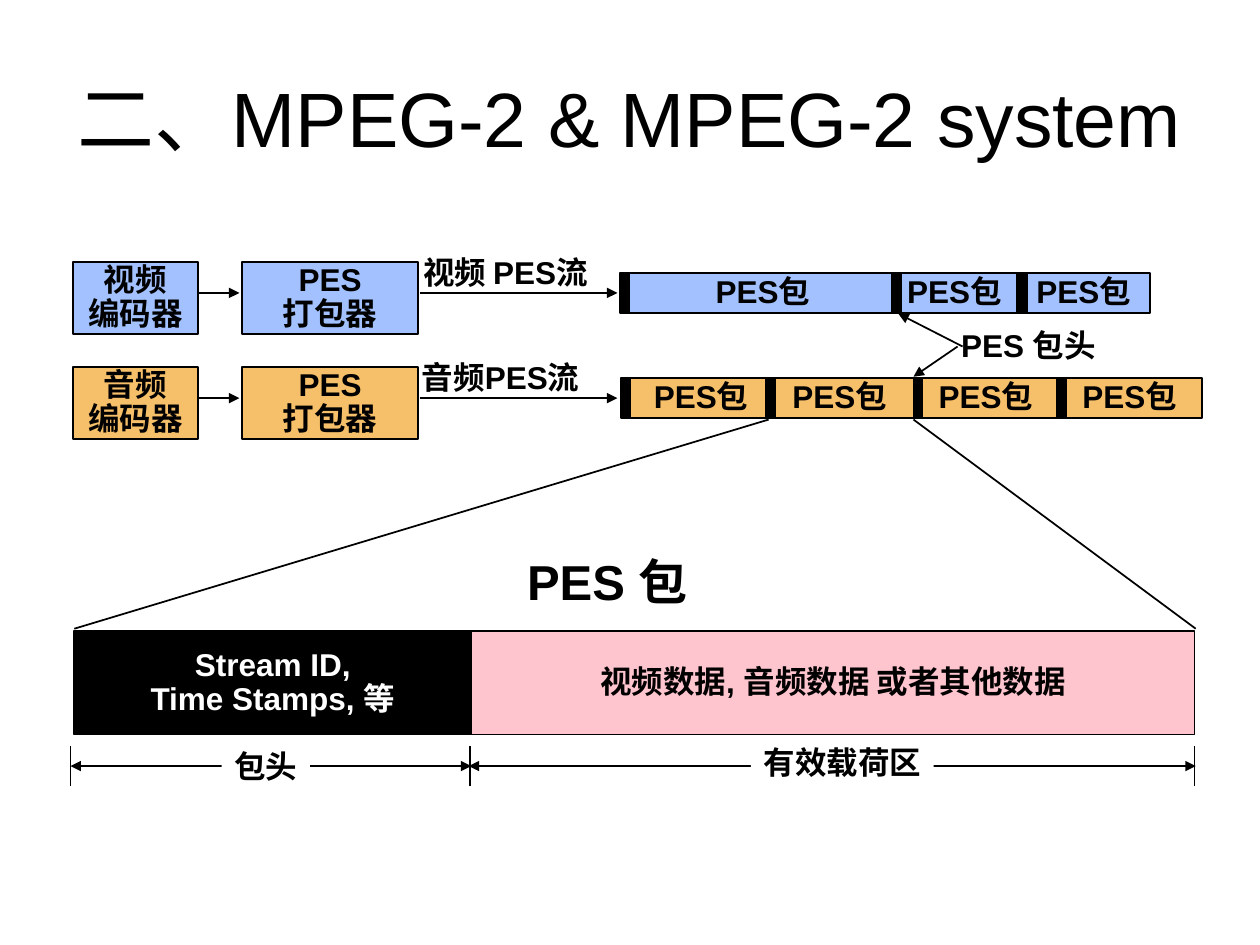
import pptx
import pptx.util
import pptx.dml.color
import pptx.enum.shapes
import pptx.enum.text
import pptx.oxml
import pptx.oxml.ns
import lxml.etree

THEME = {
    "font": "Arial", "title": 44, "packet": 28, "body": 18, "line": 1,
    "ink": "000000", "paper": "FFFFFF",
    "video": "A2C1FE", "audio": "F6BF69", "payload": "FFC5CF",
}
ALIGN = pptx.enum.text.PP_ALIGN
ANCHOR = pptx.enum.text.MSO_ANCHOR

prs = pptx.Presentation()
prs.slide_width = pptx.util.Inches(10)
prs.slide_height = pptx.util.Inches(7.5)
COL = prs.slide_width / 100
ROW = prs.slide_height / 75
s = prs.slides.add_slide(prs.slide_layouts[5])


def box(x, y, w, h, text="", fill=None, label=False, color="ink",
        size="body", align=ALIGN.CENTER):
    at = [int(v) for v in (x * COL, y * ROW, w * COL, h * ROW)]
    if fill:
        sp = s.shapes.add_shape(pptx.enum.shapes.MSO_SHAPE.RECTANGLE, *at)
        sp.shadow.inherit = False
        sp.fill.solid()
        sp.fill.fore_color.rgb = pptx.dml.color.RGBColor.from_string(THEME[fill])
        if label:
            sp.line.fill.background()
        else:
            sp.line.color.rgb = pptx.dml.color.RGBColor.from_string(THEME["ink"])
            sp.line.width = pptx.util.Pt(THEME["line"])
    else:
        sp = s.shapes.add_textbox(*at)
    tf = sp.text_frame
    tf.word_wrap = False
    tf.vertical_anchor = ANCHOR.TOP if label else ANCHOR.MIDDLE
    if label:
        tf.auto_size = pptx.enum.text.MSO_AUTO_SIZE.SHAPE_TO_FIT_TEXT
    if text:
        tf.text = text
        for p in tf.paragraphs:
            p.alignment = align
            p.line_spacing = 0.9
            p.font.name = THEME["font"]
            p.font.size = pptx.util.Pt(THEME[size])
            p.font.bold = True
            p.font.color.rgb = pptx.dml.color.RGBColor.from_string(THEME[color])


def line(x1, y1, x2, y2, *ends):
    c = s.shapes.add_connector(
        pptx.enum.shapes.MSO_CONNECTOR.STRAIGHT,
        int(x1 * COL), int(y1 * ROW), int(x2 * COL), int(y2 * ROW))
    c.line.color.rgb = pptx.dml.color.RGBColor.from_string(THEME["ink"])
    c.line.width = pptx.util.Pt(THEME["line"])
    ln = c.line._get_or_add_ln()
    for end in ends:
        tip = lxml.etree.SubElement(ln, pptx.oxml.ns.qn("a:" + end))
        tip.set("type", "triangle")
    lxml.etree.SubElement(c._element.spPr, pptx.oxml.ns.qn("a:effectLst"))


title = s.shapes.title
title.left, title.top = int(5 * COL), int(3 * ROW)
title.width, title.height = int(90 * COL), int(12.5 * ROW)
tf = title.text_frame
tf.text = "二、MPEG-2 & MPEG-2 system"
tf.word_wrap = True
tf.vertical_anchor = ANCHOR.MIDDLE
p = tf.paragraphs[0]
p.alignment = ALIGN.CENTER
p.font.name = THEME["font"]
p.font.size = pptx.util.Pt(THEME["title"])
p.font.color.rgb = pptx.dml.color.RGBColor.from_string(THEME["ink"])

streams = [
    ("video", 20.8, "视频", "视频 PES流", (32.6, 16.3),
     [(49.8, 21.5), (70.8, 9.9), (80.7, 10.6)], [49.2, 70.8, 80.8]),
    ("audio", 29.15, "音频", "音频PES流", (32.5, 15.7),
     [(49.5, 12.3), (60.8, 11.7), (72.5, 11.5), (83.9, 11.5)],
     [49.3, 60.8, 72.5, 83.9]),
]
for fill, y, medium, label, (label_x, label_w), packets, headers in streams:
    box(5.8, y, 9.9, 5.7, medium + "\n编码器", fill)
    box(19.2, y, 14, 5.7, "PES\n打包器", fill)
    line(15.8, y + 2.45, 19, y + 2.45, "tailEnd")
    line(33.3, y + 2.45, 49, y + 2.45, "tailEnd")
    box(label_x, y - 0.9, label_w, 3.7, label, label=True, align=ALIGN.LEFT)
    for x, w in packets:
        box(x, y + 0.85, w, 3.2, "PES包", fill)
    for x in headers:
        box(x, y + 0.85, 0.7, 3.2, fill="ink")

box(75.3, 25.7, 13.3, 3.7, "PES 包头", label=True, align=ALIGN.LEFT)
line(76.4, 27.5, 71.3, 24.9, "tailEnd")
line(76, 27.5, 72.5, 29.9, "tailEnd")

line(61, 33.3, 5.9, 49.9)
line(72.5, 33.3, 94.9, 49.9)
box(39.9, 43.8, 16.6, 5.2, "PES 包", label=True, size="packet")
box(5.9, 50.1, 31.5, 8.2, "Stream ID,\nTime Stamps, 等", "ink", color="paper")
box(37.4, 50.1, 57.4, 8.2, "视频数据, 音频数据 或者其他数据", "payload")

for x in (5.6, 37.3, 94.8):
    line(x, 59.2, x, 62.4)
spans = [(5.6, 37.4, 17.6, 59.1, 7, "包头"),
         (37.2, 94.9, 59.6, 58.8, 14.5, "有效载荷区")]
for x1, x2, label_x, label_y, label_w, label in spans:
    line(x2, 60.8, x1, 60.8, "headEnd", "tailEnd")
    box(label_x, label_y, label_w, 3.7, label, "paper", label=True)

prs.save("out.pptx")
